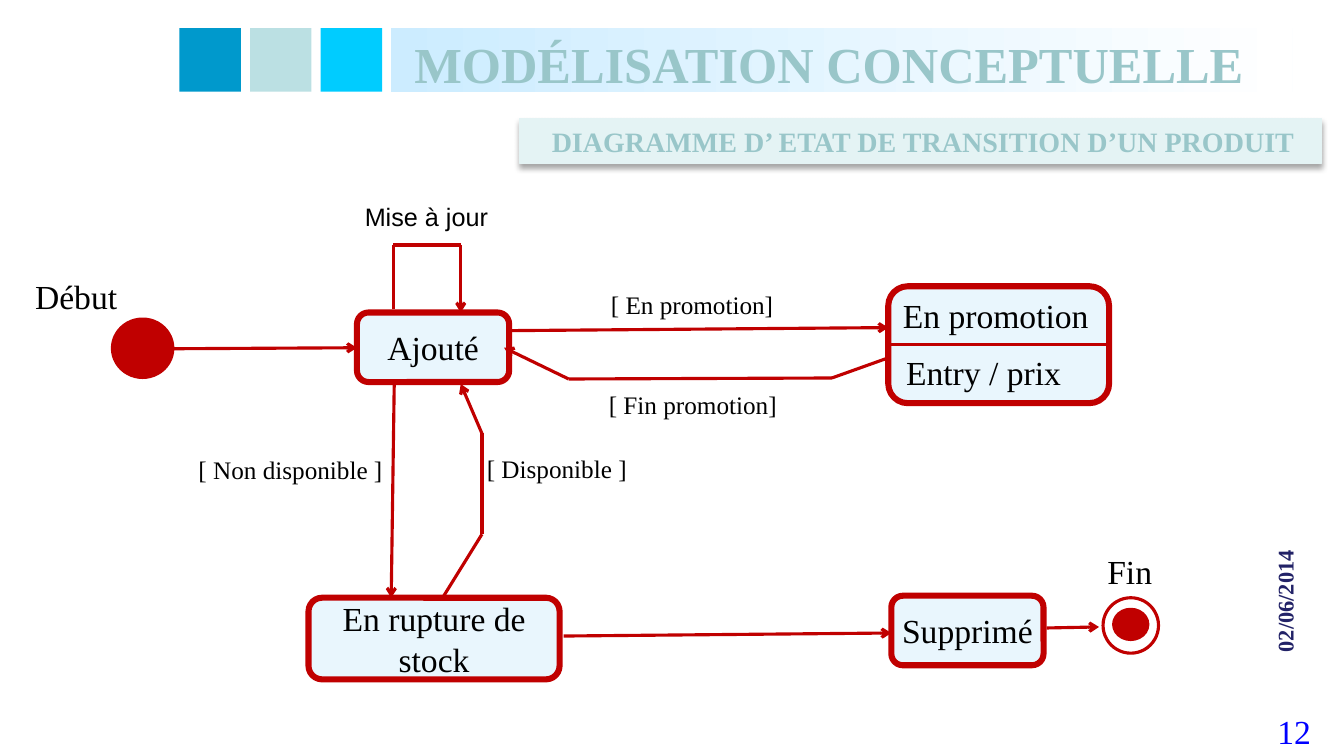
import pptx
import pptx.util
import pptx.dml.color
import pptx.enum.shapes
import pptx.enum.text
from lxml import etree

Inches = pptx.util.Inches
Pt = pptx.util.Pt
SHAPE = pptx.enum.shapes.MSO_SHAPE
ALIGN = pptx.enum.text.PP_ALIGN
ANCHOR = pptx.enum.text.MSO_ANCHOR
DRAWING = "http://schemas.openxmlformats.org/drawingml/2006/main"
RED, PALE, TEAL, BLACK = "C00000", "E9F6FD", "99C6C9", "000000"
SERIF = "Times New Roman"


def paint(target, colour):
    if hasattr(target, "solid"):
        target.solid()
        target = target.fore_color
    target.rgb = pptx.dml.color.RGBColor.from_string(colour)


def write(shape, text, size, align=ALIGN.CENTER, colour=BLACK, font=SERIF, bold=False,
          anchor=ANCHOR.TOP):
    frame = shape.text_frame
    frame.word_wrap = True
    frame.auto_size = pptx.enum.text.MSO_AUTO_SIZE.NONE
    frame.vertical_anchor = anchor
    paragraph = frame.paragraphs[0]
    paragraph.alignment = align
    run = paragraph.add_run()
    run.text = text
    run.font.name = font
    run.font.size = Pt(size)
    run.font.bold = bold
    paint(run.font.color, colour)


deck = pptx.Presentation()
deck.slide_width = Inches(13.33)
deck.slide_height = Inches(7.5)
slide = deck.slides.add_slide(deck.slide_layouts[5])
shapes = slide.shapes

title = shapes.title
title.left, title.top, title.width, title.height = map(Inches, (3.88, 0.28, 8.94, 0.63))
title.fill.gradient()
title.fill.gradient_angle = 0
for stop, colour, position in zip(title.fill.gradient_stops, ("CCECFF", "FFFFFF"), (0, 1)):
    paint(stop.color, colour)
    stop.position = position
title.text_frame.margin_left = Inches(0.23)
write(title, "MODÉLISATION CONCEPTUELLE", 36, ALIGN.LEFT, TEAL, bold=True)

for index, colour in enumerate(("0099CC", "BBE0E3", "00CCFF")):
    square = shapes.add_shape(SHAPE.RECTANGLE, Inches(1.78 + 0.7 * index), Inches(0.28),
                              Inches(0.61), Inches(0.63))
    square.shadow.inherit = False
    paint(square.fill, colour)
    square.line.fill.background()

subtitle = shapes.add_shape(SHAPE.RECTANGLE, Inches(5.15), Inches(1.18), Inches(7.96), Inches(0.44))
paint(subtitle.fill, "E4F3F4")
paint(subtitle.line.fill, "E4F3F4")
subtitle.line.width = Pt(0.75)
subtitle.text_frame.margin_left = Inches(0.15)
write(subtitle, "DIAGRAMME D’ ETAT DE TRANSITION D’UN PRODUIT", 20, colour=TEAL, bold=True,
      anchor=ANCHOR.MIDDLE)
subtitle.shadow.inherit = False
effects = subtitle.element.spPr.find(f"{{{DRAWING}}}effectLst")
shadow = etree.SubElement(effects, f"{{{DRAWING}}}outerShdw", blurRad=str(Pt(4)),
                          dist=str(Pt(3)), dir="5400000", rotWithShape="0")
shadow_colour = etree.SubElement(shadow, f"{{{DRAWING}}}srgbClr", val=BLACK)
etree.SubElement(shadow_colour, f"{{{DRAWING}}}alpha", val="35000")

states = [
    (SHAPE.OVAL, 1.13, 3.18, 0.57, 0.55, RED, 4.33, ""),
    (SHAPE.ROUNDED_RECTANGLE, 3.54, 3.1, 1.51, 0.69, PALE, 4.33, "Ajouté"),
    (SHAPE.ROUNDED_RECTANGLE, 3.06, 5.93, 2.49, 0.81, PALE, 4.33, "En rupture de stock"),
    (SHAPE.ROUNDED_RECTANGLE, 8.81, 2.84, 2.19, 1.16, PALE, 4.33, ""),
    (SHAPE.ROUNDED_RECTANGLE, 8.84, 5.91, 1.51, 0.69, PALE, 4.33, "Supprimé"),
    (SHAPE.OVAL, 11.06, 6.06, 0.31, 0.27, RED, 4.33, ""),
    (SHAPE.OVAL, 10.94, 5.93, 0.55, 0.55, None, 2.25, ""),
]
for kind, left, top, width, height, fill, border, name in states:
    state = shapes.add_shape(kind, Inches(left), Inches(top), Inches(width), Inches(height))
    state.shadow.inherit = False
    if fill:
        paint(state.fill, fill)
    else:
        state.fill.background()
    paint(state.line.fill, RED)
    state.line.width = Pt(border)
    if name:
        state.text_frame.margin_left = state.text_frame.margin_right = 0
        write(state, name, 24, anchor=ANCHOR.MIDDLE)

transitions = [
    ([(1.7, 3.46), (3.54, 3.45)], True),
    ([(3.9, 3.07), (3.9, 2.43), (4.57, 2.43), (4.57, 3.1)], True),
    ([(4.39, 5.93), (4.78, 5.3), (4.78, 4.3), (4.57, 3.81)], True),
    ([(3.91, 3.82), (3.88, 5.93)], True),
    ([(5.08, 3.28), (8.81, 3.25)], True),
    ([(8.81, 3.55), (8.25, 3.75), (5.64, 3.76), (5, 3.45)], True),
    ([(8.81, 3.42), (11, 3.42)], False),
    ([(5.59, 6.31), (8.84, 6.28)], True),
    ([(10.38, 6.23), (10.9, 6.22)], True),
]
for points, has_arrow in transitions:
    for start, end in zip(points, points[1:]):
        segment = shapes.add_connector(pptx.enum.shapes.MSO_CONNECTOR.STRAIGHT,
                                       *map(Inches, start + end))
        paint(segment.line.fill, RED)
        segment.line.width = Pt(2.25)
        etree.SubElement(segment.element.spPr, f"{{{DRAWING}}}effectLst")
    if has_arrow:
        etree.SubElement(segment.line._get_or_add_ln(), f"{{{DRAWING}}}tailEnd", type="arrow")

labels = [
    ("Début", 0.13, 2.69, 1.25, 0.5, 24, ALIGN.CENTER, BLACK, SERIF),
    ("Mise à jour", 3.52, 1.95, 1.64, 0.4, 18, ALIGN.LEFT, BLACK, "Arial"),
    ("[ En promotion]", 5.7, 2.82, 2.33, 0.4, 18, ALIGN.CENTER, BLACK, SERIF),
    ("[ Fin promotion]", 5.94, 3.81, 2.33, 0.4, 18, ALIGN.LEFT, BLACK, SERIF),
    ("[ Non disponible ]", 1.87, 4.46, 2.33, 0.4, 18, ALIGN.LEFT, BLACK, SERIF),
    ("[ Disponible ]", 4.73, 4.45, 1.61, 0.4, 18, ALIGN.LEFT, BLACK, SERIF),
    ("En promotion", 8.52, 2.88, 2.71, 0.5, 24, ALIGN.CENTER, BLACK, SERIF),
    ("Entry / prix", 8.24, 3.44, 3.03, 0.5, 24, ALIGN.CENTER, BLACK, SERIF),
    ("Fin", 10.61, 5.42, 1.19, 0.5, 24, ALIGN.CENTER, BLACK, SERIF),
    ("12", 12.57, 7, 0.54, 0.5, 24, ALIGN.LEFT, "0000FF", SERIF),
]
for text, left, top, width, height, size, align, colour, font in labels:
    label = shapes.add_textbox(Inches(left), Inches(top), Inches(width), Inches(height))
    write(label, text, size, align, colour, font)

date = shapes.add_textbox(Inches(12.14), Inches(5.58), Inches(1.61), Inches(0.77))
date.rotation = 270
write(date, "02/06/2014", 16, colour="222267", bold=True)

deck.save("out.pptx")
